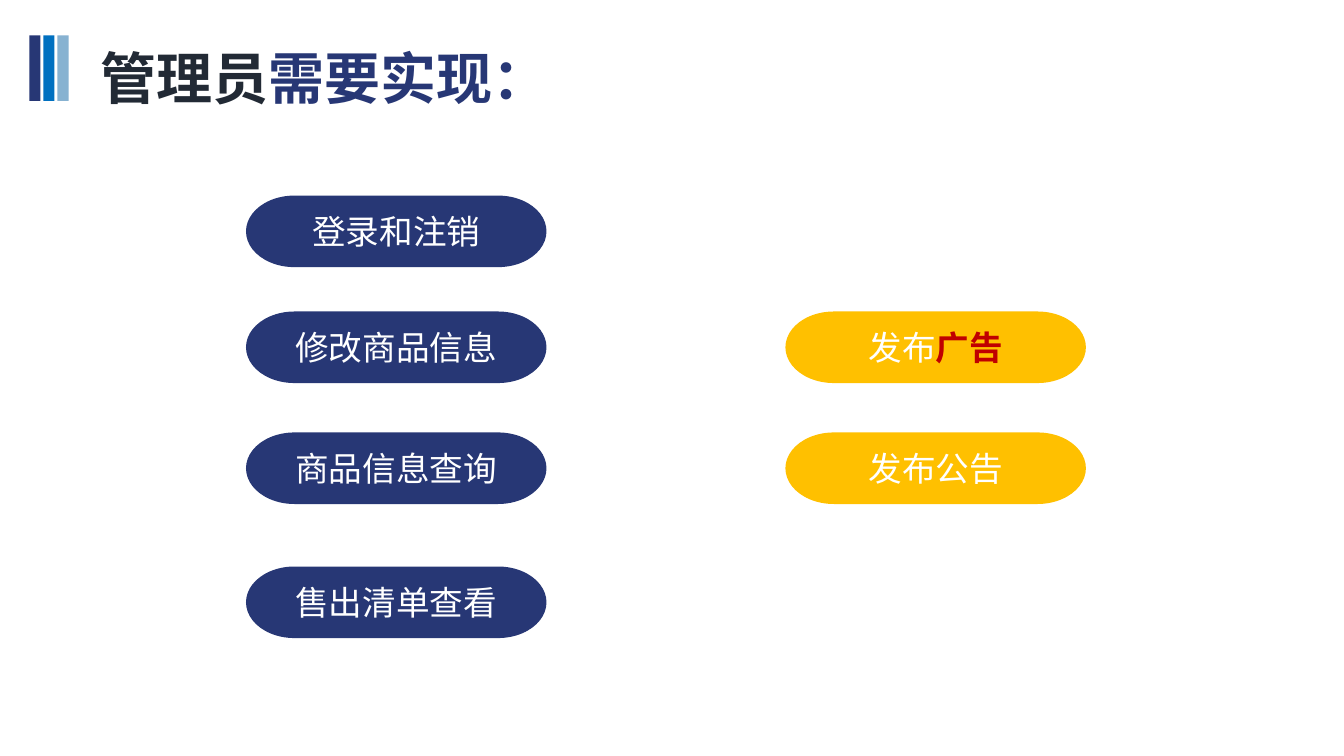
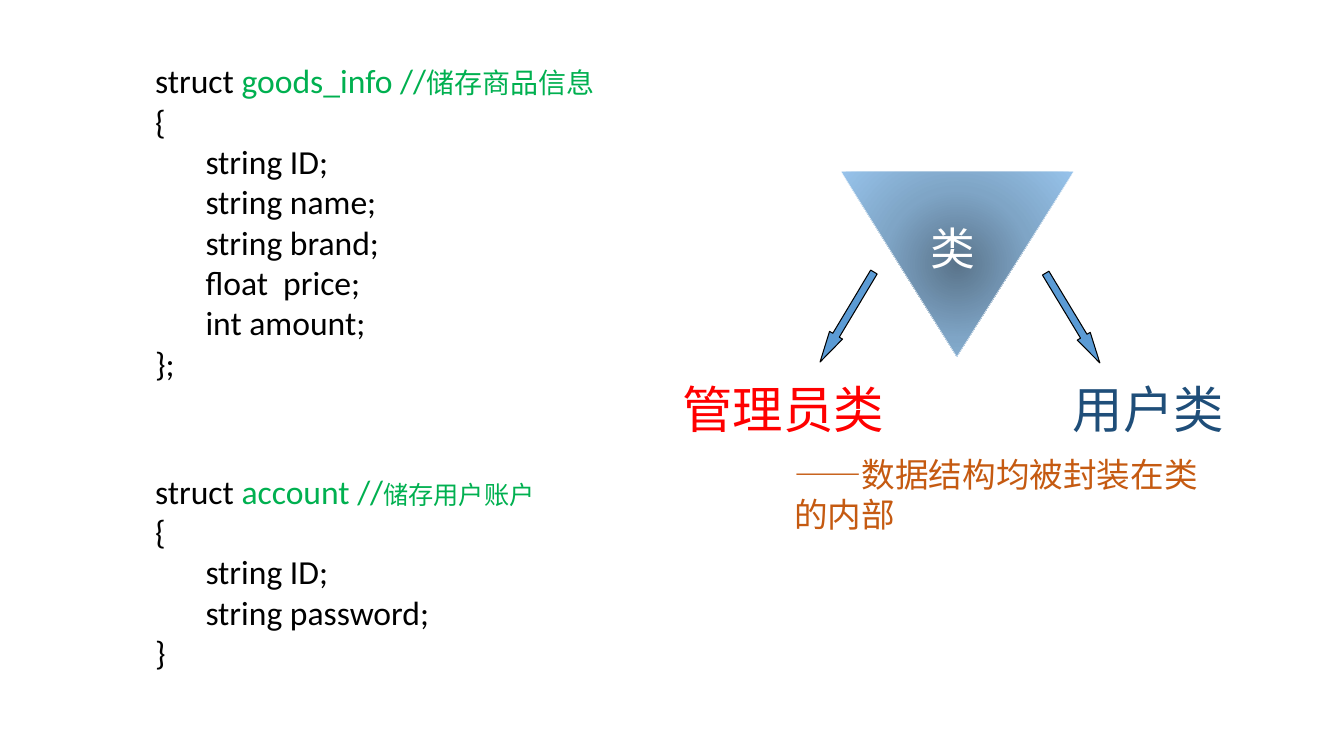
import pptx
import pptx.dml.color
import pptx.enum.shapes
import pptx.enum.text
import pptx.oxml
import pptx.oxml.ns
import pptx.util

Inches = pptx.util.Inches
Pt = pptx.util.Pt
RGBColor = pptx.dml.color.RGBColor
MSO_SHAPE = pptx.enum.shapes.MSO_SHAPE
PP_ALIGN = pptx.enum.text.PP_ALIGN
qn = pptx.oxml.ns.qn

NAVY = RGBColor(0x27, 0x37, 0x75)
BLUE = RGBColor(0x00, 0x70, 0xC0)
PALE_BLUE = RGBColor(0x87, 0xB2, 0xD1)
INK = RGBColor(0x22, 0x2A, 0x35)
GOLD = RGBColor(0xFF, 0xC0, 0x00)
DARK_RED = RGBColor(0xC0, 0x00, 0x00)
RED = RGBColor(0xFF, 0x00, 0x00)
DEEP_BLUE = RGBColor(0x1F, 0x4E, 0x79)
ARROW_BLUE = RGBColor(0x5B, 0x9B, 0xD5)
ORANGE = RGBColor(0xC5, 0x5A, 0x11)
GREEN = RGBColor(0x00, 0xB0, 0x50)
BLACK = RGBColor(0x00, 0x00, 0x00)
WHITE = RGBColor(0xFF, 0xFF, 0xFF)
GLOW = [(0, RGBColor(0x5A, 0x74, 0x8B)), (50, RGBColor(0x7F, 0xA5, 0xC6)),
        (100, RGBColor(0x97, 0xC3, 0xEB))]
CJK = "Noto Sans CJK SC"
LATIN = "Calibri"


class Deck:
    def __init__(self):
        self.prs = pptx.Presentation()
        self.prs.slide_width = Inches(13.33)
        self.prs.slide_height = Inches(7.5)
        self.s = None

    def slide(self):
        self.s = self.prs.slides.add_slide(self.prs.slide_layouts[6])

    def run(self, p, text, size, color, bold=False, font=CJK):
        r = p.add_run()
        r.text = text
        r.font.size = Pt(size)
        r.font.color.rgb = color
        r.font.bold = bold
        r.font.name = font
        ea = r.font._element.makeelement(qn("a:ea"), {"typeface": CJK})
        r.font._element.find(qn("a:latin")).addnext(ea)

    def text(self, left, top, width, height, paragraphs, wrap=True, font=CJK):
        sp = self.s.shapes.add_textbox(Inches(left), Inches(top), Inches(width), Inches(height))
        tf = sp.text_frame
        tf.word_wrap = wrap
        tf.auto_size = pptx.enum.text.MSO_AUTO_SIZE.SHAPE_TO_FIT_TEXT
        for i, runs in enumerate(paragraphs):
            p = tf.add_paragraph() if i else tf.paragraphs[0]
            for run in runs:
                self.run(p, *run, font=font)

    def shape(self, kind, left, top, width, height, fill):
        sp = self.s.shapes.add_shape(kind, Inches(left), Inches(top), Inches(width), Inches(height))
        sp.shadow.inherit = False
        sp.fill.solid()
        sp.fill.fore_color.rgb = fill
        sp.line.fill.background()
        return sp

    def title(self, *runs):
        for i, color in enumerate((NAVY, BLUE, PALE_BLUE)):
            self.shape(MSO_SHAPE.RECTANGLE, 0.29 + 0.14 * i, 0.35, 0.11, 0.65, color)
        self.text(0.9, 0.38, 4.28, 0.77, [[(t, 40, color, True) for t, color in runs]])

    def pill(self, left, top, fill, *runs):
        sp = self.shape(MSO_SHAPE.FLOWCHART_TERMINATOR, left, top, 2.98, 0.71, fill)
        sp.text_frame.word_wrap = True
        p = sp.text_frame.paragraphs[0]
        p.alignment = PP_ALIGN.CENTER
        for run in runs:
            self.run(p, *run)

    def arrow(self, left, top, rotation):
        sp = self.shape(MSO_SHAPE.RIGHT_ARROW, left, top, 1.04, 0.15, ARROW_BLUE)
        sp.adjustments[1] = 2.06
        sp.rotation = rotation
        sp.line.color.rgb = BLACK
        sp.line.width = Pt(0.75)

    def glowing_polygon(self, points, stops):
        points = [(Inches(x), Inches(y)) for x, y in points]
        builder = self.s.shapes.build_freeform(*points[0])
        builder.add_line_segments(points[1:], close=True)
        sp = builder.convert_to_shape()
        sp.shadow.inherit = False
        sp.line.color.rgb = WHITE
        sp.line.width = Pt(0.25)
        sp.fill.gradient()
        colors = "".join(f'<a:gs pos="{pos * 1000}"><a:srgbClr val="{color}"/></a:gs>'
                         for pos, color in stops)
        grad = pptx.oxml.parse_xml(
            f'<a:gradFill {pptx.oxml.ns.nsdecls("a")} rotWithShape="1"><a:gsLst>{colors}</a:gsLst>'
            '<a:path path="circle"><a:fillToRect l="50000" t="50000" r="50000" b="50000"/></a:path>'
            '</a:gradFill>')
        old = sp._element.spPr.find(qn("a:gradFill"))
        old.getparent().replace(old, grad)

    def struct(self, top, width, height, name, note, note_size, fields, end):
        head = [("struct ", 24, BLACK), (f"{name} //", 24, GREEN), (note, note_size, GREEN)]
        lines = ["{", *("\t" + field for field in fields), end]
        self.text(1.44, top, width, height,
                  [head] + [[(line, 24, BLACK)] for line in lines], font=LATIN)


def main():
    deck = Deck()

    deck.slide()
    deck.title(("管理员", INK), ("需要实现：", NAVY))
    tasks = [(1.94, "登录和注销"), (3.09, "修改商品信息"),
             (4.29, "商品信息查询"), (5.62, "售出清单查看")]
    for top, task in tasks:
        deck.pill(2.44, top, NAVY, (task, 24, WHITE))
    deck.pill(7.79, 3.09, GOLD, ("发布", 24, WHITE), ("广告", 24, DARK_RED, True))
    deck.pill(7.79, 4.29, GOLD, ("发布公告", 24, WHITE))

    deck.slide()
    deck.text(6.67, 3.7, 2.22, 0.71, [[("管理员类", 36, RED)]], wrap=False)
    deck.text(10.54, 3.7, 1.72, 0.71, [[("用户类", 36, DEEP_BLUE)]], wrap=False)
    deck.glowing_polygon([(8.34, 1.7), (10.65, 1.7), (9.49, 3.54)], GLOW)
    deck.text(9.13, 2.14, 0.85, 0.91, [[("类", 32, WHITE)]])
    deck.arrow(7.88, 3.07, 120.9)
    deck.arrow(10.12, 3.08, 58.9)
    deck.text(7.78, 4.45, 4.21, 0.91, [[("——数据结构均被封装在类的内部", 24, ORANGE)]])
    deck.struct(0.55, 4.64, 3.33, "goods_info", "储存商品信息", 20,
                ["string ID;", "string name;", "string brand;", "float  price;", "int amount;"], "};")
    deck.struct(4.62, 3.97, 2.12, "account", "储存用户账户", 18,
                ["string ID;", "string password;"], "}")

    deck.prs.save("out.pptx")


if __name__ == "__main__":
    main()
